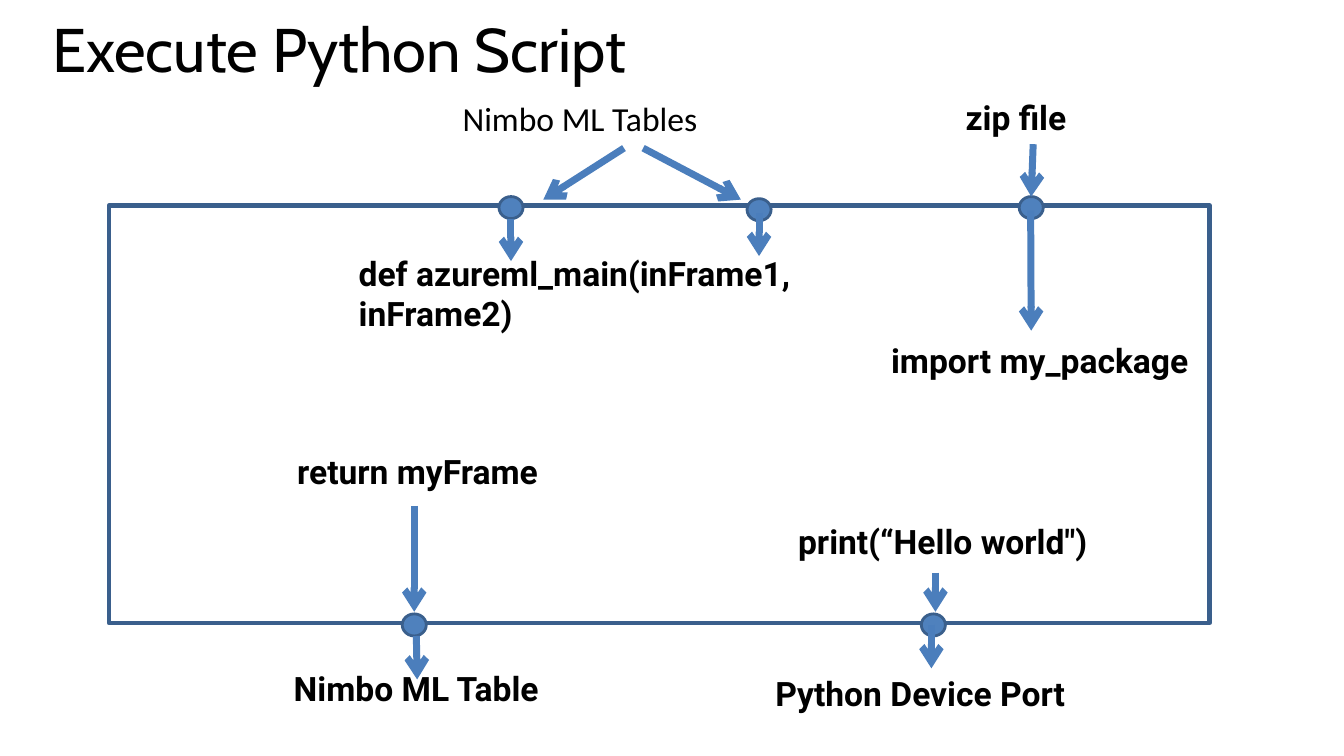
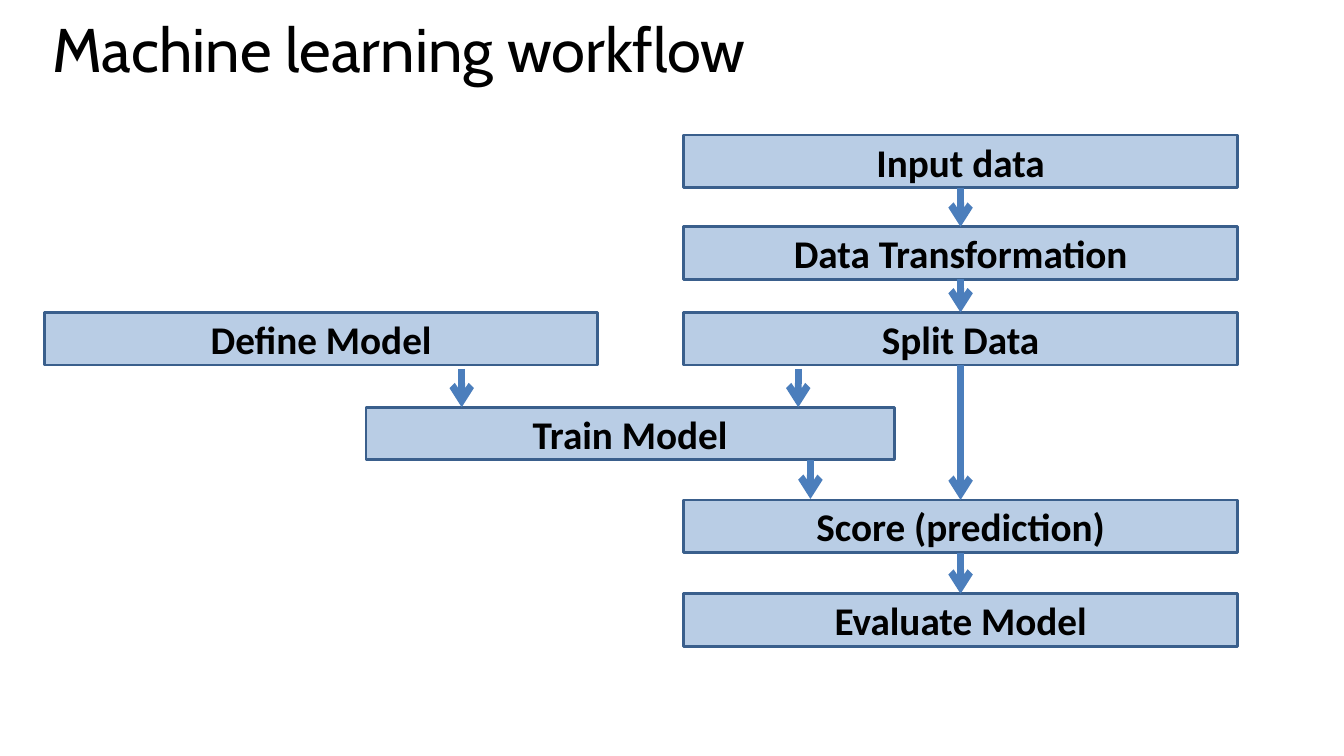
"""Build two slides: a script module diagram and a machine learning workflow."""
from lxml import etree
from pptx import Presentation
from pptx.dml.color import RGBColor
from pptx.enum.shapes import MSO_CONNECTOR, MSO_SHAPE
from pptx.enum.text import MSO_ANCHOR, MSO_AUTO_SIZE, PP_ALIGN
from pptx.oxml.ns import qn
from pptx.util import Pt

STRAIGHT = MSO_CONNECTOR.STRAIGHT
RECTANGLE, OVAL = MSO_SHAPE.RECTANGLE, MSO_SHAPE.OVAL
TOP, MIDDLE = MSO_ANCHOR.TOP, MSO_ANCHOR.MIDDLE
LEFT, CENTER = PP_ALIGN.LEFT, PP_ALIGN.CENTER
FIXED_SIZE = MSO_AUTO_SIZE.NONE
TITLE_ONLY = 5
TOP_SITE, BOTTOM_SITE = 0, 2

TITLE_FONT, BODY_FONT, CODE_FONT = "Cabin", "Calibri", "Roboto"
BLACK, OUTLINE, ARROW = "000000", "3A5F8C", "4B7EBC"
PORT_FILL, STEP_FILL = "4F81BD", "B9CDE5"

PORT_WIDTH, PORT_HEIGHT = 17.2, 15.8
STEP_WIDTH, STEP_HEIGHT = 395.3, 37.6
MAIN_LEFT = 488.5


def color(hex_value):
    """Turn a hex string into a colour."""
    return RGBColor.from_string(hex_value)


def place(shape, left, top, width, height):
    """Set a shape's position and size."""
    shape.left, shape.top = Pt(left), Pt(top)
    shape.width, shape.height = Pt(width), Pt(height)


def write(shape, text, *, font=CODE_FONT, size=24, bold=True, align=LEFT,
          anchor=TOP, line_spacing=1.0, space_before=0, inset=(7.2, 3.6)):
    """Put formatted text into a shape."""
    frame = shape.text_frame
    frame.word_wrap = True
    frame.auto_size = FIXED_SIZE
    frame.vertical_anchor = anchor
    frame.margin_left = frame.margin_right = Pt(inset[0])
    frame.margin_top = frame.margin_bottom = Pt(inset[1])
    paragraph = frame.paragraphs[0]
    paragraph.alignment = align
    paragraph.line_spacing = line_spacing
    paragraph.space_before = Pt(space_before)
    run = paragraph.add_run()
    run.text = text
    run.font.name, run.font.size, run.font.bold = font, Pt(size), bold
    run.font.color.rgb = color(BLACK)


def add_titled_slide(deck, title):
    """Add a slide with the shared title style."""
    slide = deck.slides.add_slide(deck.slide_layouts[TITLE_ONLY])
    heading = slide.shapes.title
    place(heading, 30, 14.4, 907, 83.5)
    write(heading, title, font=TITLE_FONT, size=44, bold=False,
          line_spacing=0.8)
    return slide


def add_outlined(slide, kind, left, top, width, height, *, fill=None, line=2):
    """Add an outlined preset shape, unfilled unless a fill is given."""
    shape = slide.shapes.add_shape(kind, Pt(left), Pt(top), Pt(width), Pt(height))
    shape.shadow.inherit = False
    if fill:
        shape.fill.solid()
        shape.fill.fore_color.rgb = color(fill)
    else:
        shape.fill.background()
    shape.line.color.rgb = color(OUTLINE)
    shape.line.width = Pt(line)
    return shape


def add_port(slide, center_x, center_y):
    """Add a port dot around its centre."""
    add_outlined(slide, OVAL, center_x - PORT_WIDTH / 2,
                 center_y - PORT_HEIGHT / 2, PORT_WIDTH, PORT_HEIGHT,
                 fill=PORT_FILL)


def add_label(slide, text, left, top, width, height=51.8, **text_format):
    """Add a text label."""
    label = slide.shapes.add_textbox(Pt(left), Pt(top), Pt(width), Pt(height))
    write(label, text, **{"space_before": 14, **text_format})


def add_step(slide, text, left, top, width=STEP_WIDTH):
    """Add a workflow step box."""
    step = add_outlined(slide, RECTANGLE, left, top, width, STEP_HEIGHT,
                        fill=STEP_FILL)
    write(step, text, font=BODY_FONT, size=28, align=CENTER, anchor=MIDDLE)
    return step


def add_arrow(slide, start_x, start_y, end_x, end_y):
    """Add a straight arrow between two points."""
    arrow = slide.shapes.add_connector(STRAIGHT, Pt(start_x), Pt(start_y),
                                       Pt(end_x), Pt(end_y))
    arrow.line.color.rgb = color(ARROW)
    arrow.line.width = Pt(5)
    properties = arrow.element.spPr
    outline = properties.find(qn("a:ln"))
    etree.SubElement(outline, qn("a:tailEnd"), type="arrow")
    etree.SubElement(properties, qn("a:effectLst"))
    return arrow


def join_steps(slide, upper, lower):
    """Join the bottom of one step to the top of another."""
    arrow = add_arrow(slide, 0, 0, 0, 0)
    arrow.begin_connect(upper, BOTTOM_SITE)
    arrow.end_connect(lower, TOP_SITE)


def build_script_slide(deck):
    """Show the inputs and outputs of the script module."""
    slide = add_titled_slide(deck, "Execute Python Script")
    add_outlined(slide, RECTANGLE, 77.8, 146.9, 786.2, 298.1, line=3.25)

    for center in ((365, 148.3), (542.2, 149.8), (736.6, 148.3),
                   (666.7, 446.4), (295.9, 446.4)):
        add_port(slide, *center)

    add_label(slide, "Nimbo ML Tables", 257, 67.7, 314.6, 38.2,
              font=BODY_FONT, bold=False, align=CENTER, line_spacing=0.9,
              space_before=4.8, inset=(9.4, 5.8))
    for text, left, top, width, align in (
            ("Nimbo ML Table", 190.8, 473.8, 213.1, CENTER),
            ("Python Device Port", 514.8, 477.4, 285.1, CENTER),
            ("def azureml_main(inFrame1, inFrame2)", 249.1, 177.1, 426.2, LEFT),
            ("zip file", 682.6, 65.5, 113, LEFT),
            ("import my_package", 625.7, 239, 234, CENTER),
            ("return myFrame", 205.2, 318.2, 198.7, LEFT),
            ("print(“Hello world\")", 563, 368.6, 223.9, LEFT)):
        add_label(slide, text, left, top, width, align=align)

    for ends in ((445.7, 105.8, 388.1, 142.6), (459.4, 105.8, 529.2, 142.6),
                 (738, 103, 736.6, 140.4), (736.2, 150.5, 736.6, 236.2),
                 (365, 156.2, 365, 186.5), (542.2, 152, 542.2, 182.9),
                 (295.9, 361.4, 295.9, 437), (668.2, 409, 668.2, 437),
                 (297.4, 454.3, 298, 485.3), (665.3, 446.4, 665.3, 477.4)):
        add_arrow(slide, *ends)


def build_workflow_slide(deck):
    """Show the steps from input data to an evaluated model."""
    slide = add_titled_slide(deck, "Machine learning workflow")
    main_steps = [add_step(slide, text, MAIN_LEFT, top) for text, top in (
        ("Input data", 96.5), ("Data Transformation", 162),
        ("Split Data", 223.2), ("Score (prediction)", 357.1),
        ("Evaluate Model", 424.1))]
    add_step(slide, "Define Model", 31.7, 223.2)
    add_step(slide, "Train Model", 261.4, 290.9, 377.3)

    for upper, lower in zip(main_steps, main_steps[1:]):
        join_steps(slide, upper, lower)
    for x, start_y, end_y in ((570.2, 263.5, 290.9), (329.8, 263.5, 290.9),
                              (578.9, 328.5, 356.4)):
        add_arrow(slide, x, start_y, x, end_y)


def main():
    """Build and save the deck."""
    deck = Presentation()
    deck.slide_width, deck.slide_height = Pt(960), Pt(540)
    build_script_slide(deck)
    build_workflow_slide(deck)
    deck.save("out.pptx")


if __name__ == "__main__":
    main()
